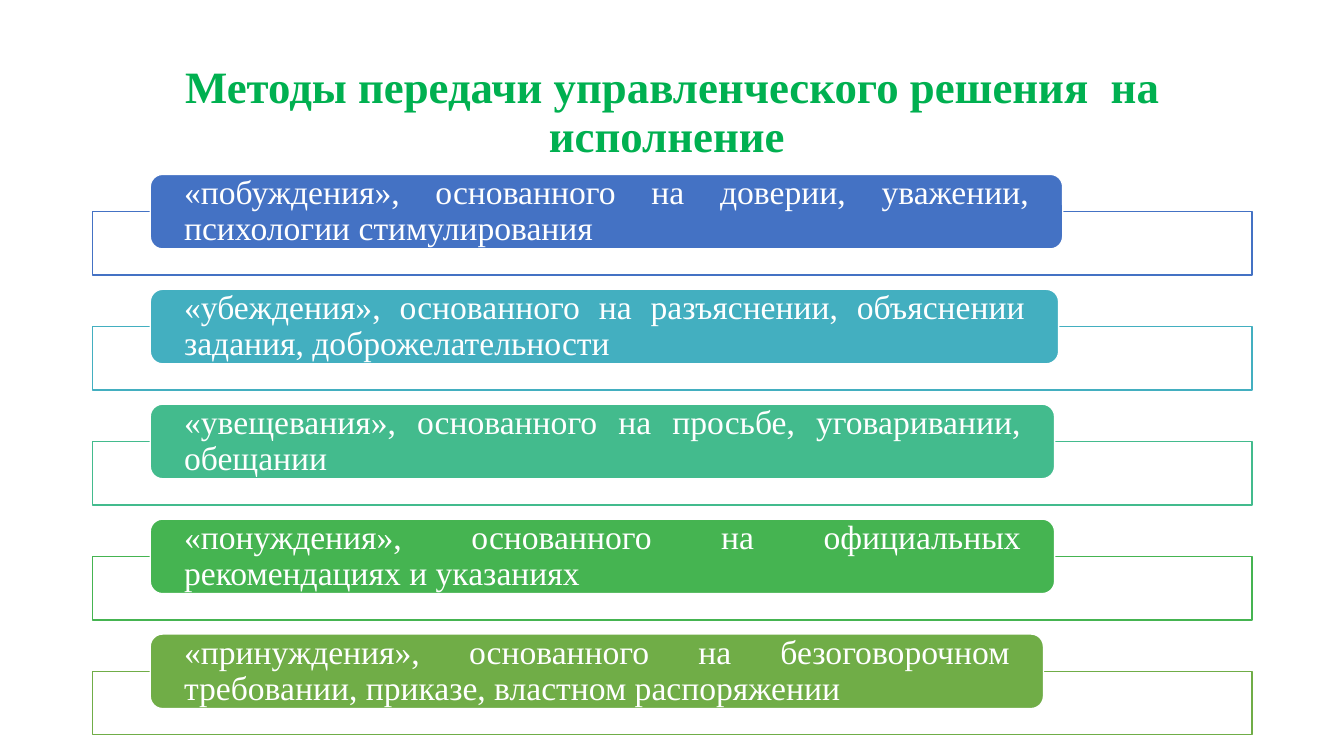
from dataclasses import dataclass

from lxml.etree import SubElement
from pptx import Presentation
from pptx.dml.color import RGBColor
from pptx.enum.shapes import MSO_SHAPE as Shape
from pptx.enum.text import MSO_ANCHOR as Anchor, PP_ALIGN as Align
from pptx.oxml.ns import qn
from pptx.util import Inches, Pt


@dataclass(frozen=True)
class Theme:
    font: str = "Times New Roman"
    title_size: int = 32
    label_size: int = 24
    title: str = "00B050"
    paper: str = "FFFFFF"
    line_width: float = 1
    line_spacing: float = 0.9


THEME = Theme()

# Shared grid, in inches
LEFT, WIDTH = 0.92, 11.5
FIRST_ROW, ROW_PITCH = 1.73, 1.14
LABEL_LEFT, LABEL_HEIGHT = 1.49, 0.74
FRAME_DROP, FRAME_HEIGHT = LABEL_HEIGHT / 2, 0.63

TITLE = "Методы передачи управленческого решения  на исполнение "

# Text, colour and label width of each method
METHODS = [
    ("«побуждения», основанного на доверии, уважении, "
     "психологии стимулирования", "4472C4", 9.05),
    ("«убеждения», основанного на разъяснении, объяснении задания, "
     "доброжелательности", "43AFC0", 9.01),
    ("«увещевания», основанного на просьбе, уговаривании, обещании",
     "43BB8D", 8.97),
    ("«понуждения», основанного на официальных рекомендациях и указаниях",
     "45B451", 8.97),
    ("«принуждения», основанного на безоговорочном требовании, приказе, "
     "властном распоряжении", "70AD47", 8.86),
]


def write_text(box, text, *, size, color, align, bold=False,
               side=0.1, edge=0.05):
    """Put one formatted paragraph into a shape, centred vertically."""
    frame = box.text_frame
    frame.word_wrap = True
    frame.vertical_anchor = Anchor.MIDDLE
    frame.margin_left = frame.margin_right = Inches(side)
    frame.margin_top = frame.margin_bottom = Inches(edge)
    para = frame.paragraphs[0]
    para.alignment = align
    para.line_spacing = THEME.line_spacing
    span = para.add_run()
    span.text = text
    span.font.name = THEME.font
    span.font.size = Pt(size)
    span.font.bold = bold
    span.font.color.rgb = RGBColor.from_string(color)


def add_box(page, kind, left, top, width, height, *, fill, line, opacity=100):
    box = page.shapes.add_shape(kind, *map(Inches, (left, top, width, height)))
    box.shadow.inherit = False
    box.fill.solid()
    box.fill.fore_color.rgb = RGBColor.from_string(fill)
    box.line.color.rgb = RGBColor.from_string(line)
    box.line.width = Pt(THEME.line_width)
    if opacity < 100:
        color = box.fill._xPr.find(".//" + qn("a:srgbClr"))
        SubElement(color, qn("a:alpha"), val=str(opacity * 1000))
    return box


def add_title(page, text):
    box = page.shapes.add_textbox(*map(Inches, (LEFT, 0.4, WIDTH, 1.45)))
    write_text(box, text, size=THEME.title_size, color=THEME.title,
               align=Align.CENTER, bold=True)


def add_method(page, row, text, color, width):
    """Draw an outlined frame with a coloured label over its top edge."""
    top = FIRST_ROW + row * ROW_PITCH
    add_box(page, Shape.RECTANGLE, LEFT, top + FRAME_DROP, WIDTH, FRAME_HEIGHT,
            fill=THEME.paper, line=color, opacity=90)
    label = add_box(page, Shape.ROUNDED_RECTANGLE, LABEL_LEFT, top, width,
                    LABEL_HEIGHT, fill=color, line=THEME.paper)
    write_text(label, text, size=THEME.label_size, color=THEME.paper,
               align=Align.JUSTIFY, side=0.3, edge=0)


def main():
    deck = Presentation()
    deck.slide_width, deck.slide_height = Inches(13.33), Inches(7.5)
    page = deck.slides.add_slide(deck.slide_layouts[6])

    # Heading
    add_title(page, TITLE)

    # Methods, one per row
    for row, method in enumerate(METHODS):
        add_method(page, row, *method)

    deck.save("out.pptx")


main()
